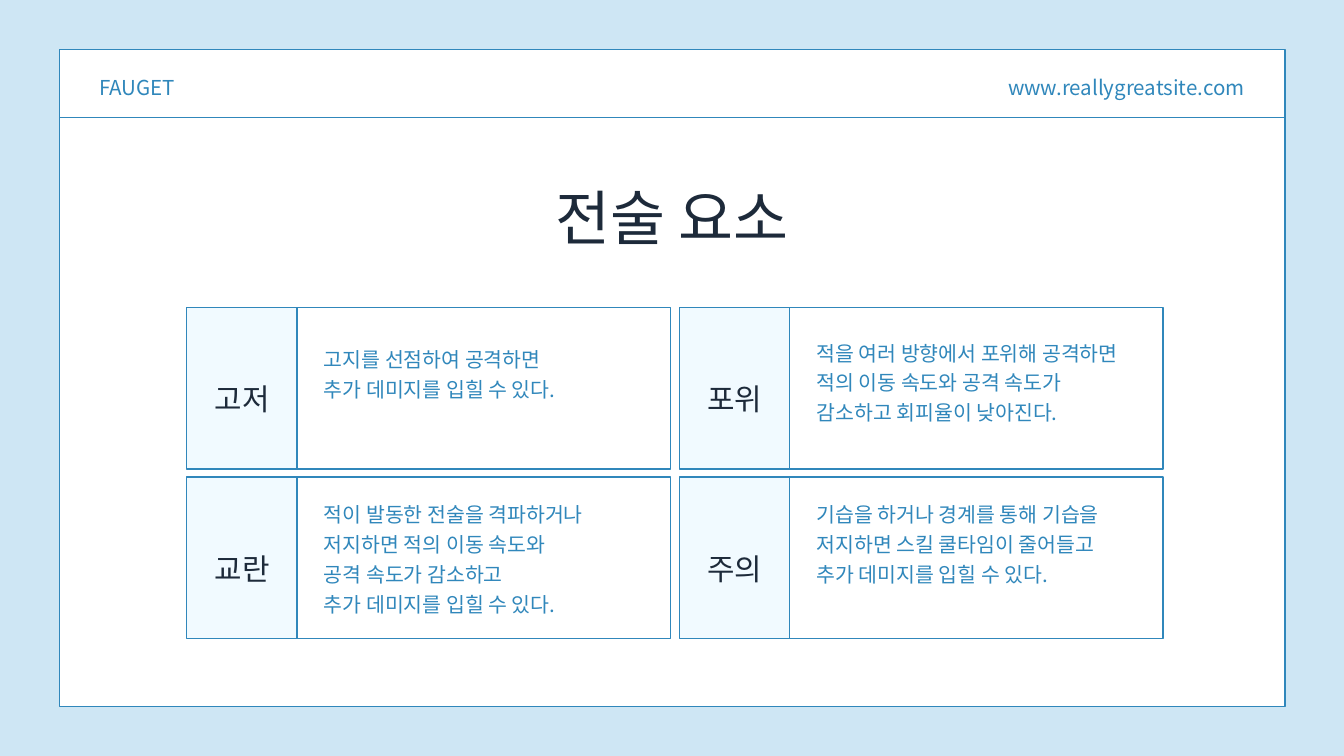
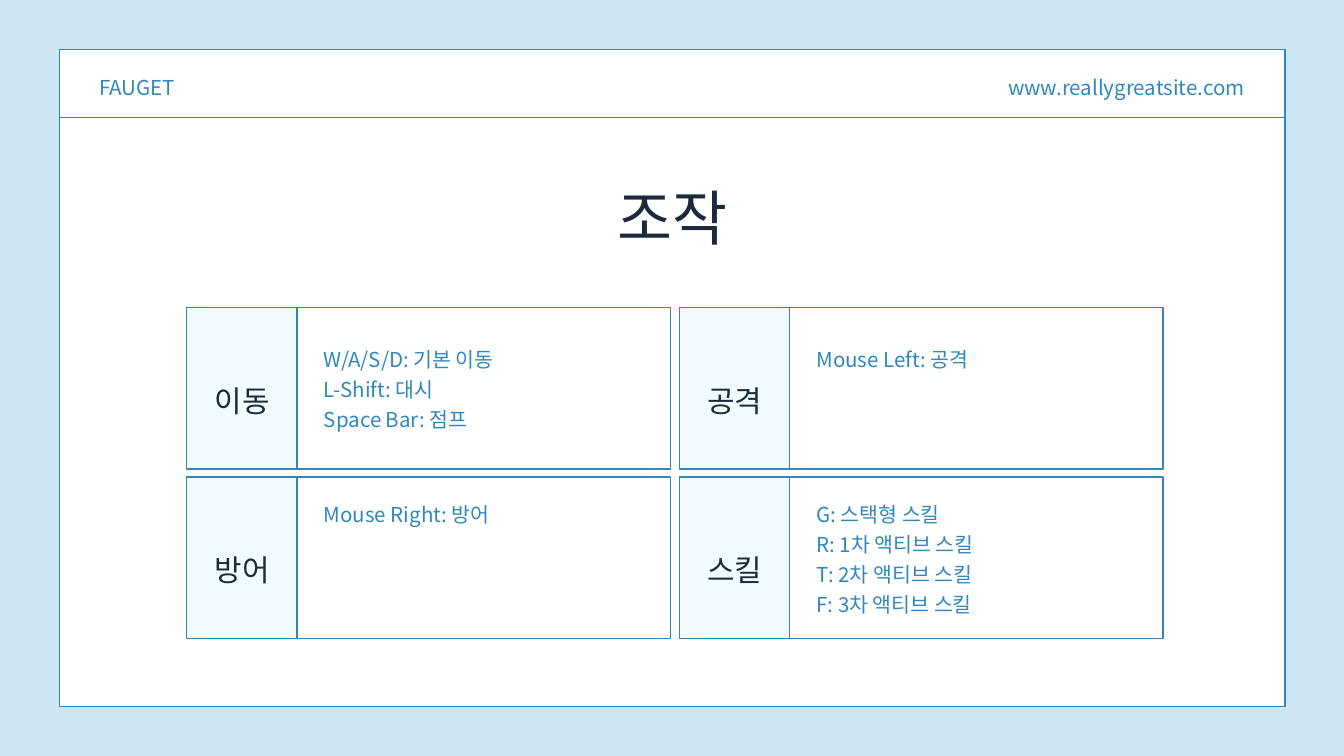
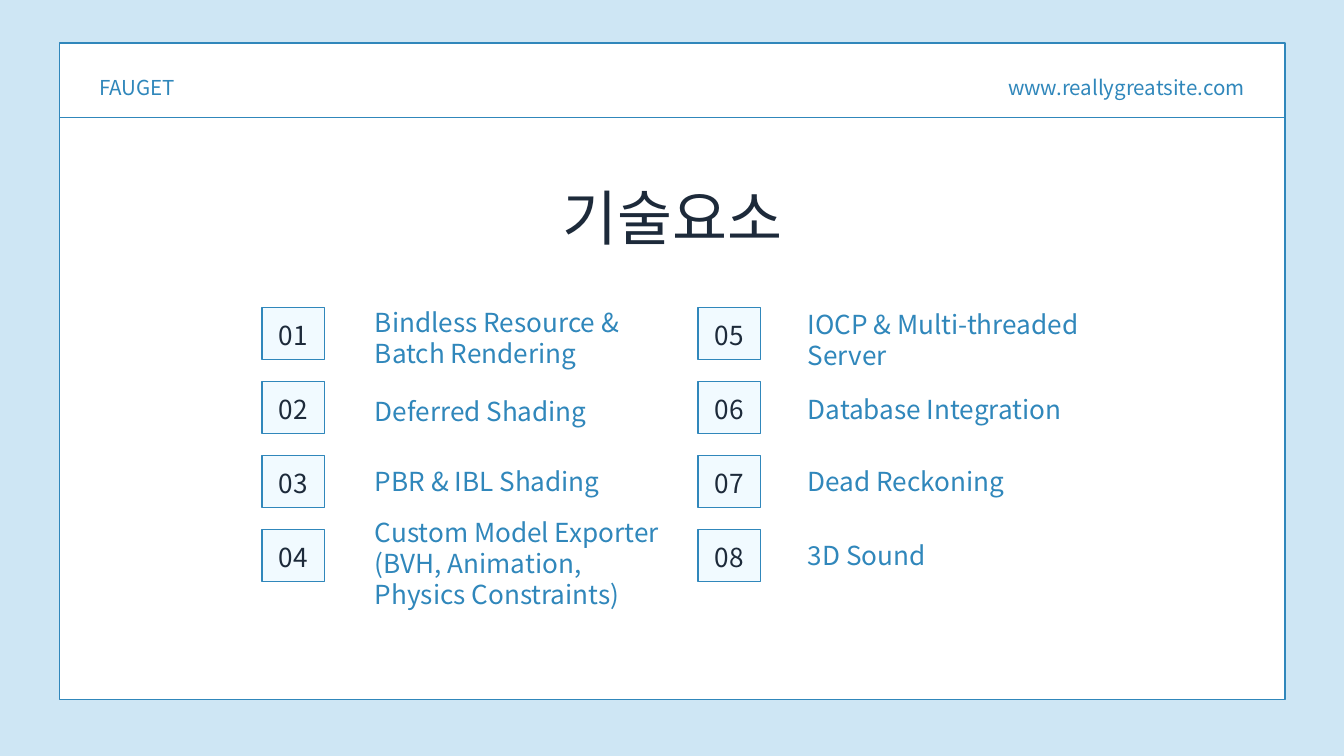
import pptx
import pptx.dml.color
import pptx.enum.shapes
import pptx.enum.text
import pptx.oxml
import pptx.oxml.ns
import pptx.util
from pptx.util import Inches

FONT = "Noto Sans CJK KR"
SKY, BLUE, PALE, WHITE, NAVY = "CEE6F4", "3087BB", "F1FAFF", "FFFFFF", "1D2A3A"
LEFT = pptx.enum.text.PP_ALIGN.LEFT
CENTER = pptx.enum.text.PP_ALIGN.CENTER
RIGHT = pptx.enum.text.PP_ALIGN.RIGHT
JUSTIFY = pptx.enum.text.PP_ALIGN.JUSTIFY

CARD_COLUMNS, CARD_ROWS = (2.78, 10.11), (4.58, 7.1)
CARD_HEIGHT = 2.4
TOPIC_TOP, TOPIC_PITCH = 4.58, 1.1

# Each card: label, top of the description, lines it fills, paragraphs
TACTICS = [
    ("고저", 5.09, 2, ["고지를 선점하여 공격하면\n추가 데미지를 입힐 수 있다."]),
    ("포위", 4.99, 3, ["적을 여러 방향에서 포위해 공격하면\n"
                     "적의 이동 속도와 공격 속도가 감소하고 회피율이 낮아진다."]),
    ("교란", 7.4, 4, ["적이 발동한 전술을 격파하거나 저지하면 적의 이동 속도와\n"
                    "공격 속도가 감소하고\n추가 데미지를 입힐 수 있다."]),
    ("주의", 7.4, 3, ["기습을 하거나 경계를 통해 기습을\n"
                    "저지하면 스킬 쿨타임이 줄어들고 추가 데미지를 입힐 수 있다."]),
]
CONTROLS = [
    ("이동", 5.09, 3, ["W/A/S/D: 기본 이동", "L-Shift: 대시", "Space Bar: 점프"]),
    ("공격", 5.09, 1, ["Mouse Left: 공격"]),
    ("방어", 7.4, 1, ["Mouse Right: 방어"]),
    ("스킬", 7.4, 4, ["G: 스택형 스킬", "R: 1차 액티브 스킬",
                    "T: 2차 액티브 스킬", "F: 3차 액티브 스킬"]),
]

# Each column: left of the number boxes, left of the names, (name, top, lines)
TOPIC_COLUMNS = [
    (3.9, 5.58, [
        ("Bindless Resource & Batch Rendering", 4.56, 2),
        ("Deferred Shading", 5.89, 1),
        ("PBR & IBL Shading", 6.92, 1),
        ("Custom Model Exporter\n(BVH, Animation, Physics Constraints)", 7.68, 3),
    ]),
    (10.39, 12.02, [
        ("IOCP & Multi-threaded Server", 4.59, 2),
        ("Database Integration", 5.86, 1),
        ("Dead Reckoning", 6.93, 1),
        ("3D Sound", 8.03, 1),
    ]),
]


def rgb(value):
    return pptx.dml.color.RGBColor.from_string(value)


def add_panel(slide, left, top, width, height, fill):
    panel = slide.shapes.add_shape(
        pptx.enum.shapes.MSO_SHAPE.RECTANGLE,
        Inches(left), Inches(top), Inches(width), Inches(height))
    panel.shadow.inherit = False
    panel.fill.solid()
    panel.fill.fore_color.rgb = rgb(fill)
    panel.line.color.rgb = rgb(BLUE)
    panel.line.width = pptx.util.Pt(1.5)


def add_rule(slide, left, right, top):
    rule = slide.shapes.add_connector(
        pptx.enum.shapes.MSO_CONNECTOR.STRAIGHT,
        Inches(left), Inches(top), Inches(right), Inches(top))
    rule.line.color.rgb = rgb(BLUE)
    rule.line.width = pptx.util.Pt(1.5)
    pptx.oxml.ns.qn("a:effectLst")
    rule._element.spPr.append(pptx.oxml.parse_xml(
        f"<a:effectLst {pptx.oxml.ns.nsdecls('a')}/>"))


def add_text(slide, left, top, width, height, paragraphs, size, spacing,
             color=BLUE, align=LEFT):
    """Place paragraphs with exact line spacing; a newline breaks the line."""
    box = slide.shapes.add_textbox(
        Inches(left), Inches(top), Inches(width), Inches(height))
    frame = box.text_frame
    frame.word_wrap = True
    frame.auto_size = pptx.enum.text.MSO_AUTO_SIZE.SHAPE_TO_FIT_TEXT
    frame.margin_left = frame.margin_right = 0
    frame.margin_top = frame.margin_bottom = 0
    for index, text in enumerate(paragraphs):
        paragraph = frame.add_paragraph() if index else frame.paragraphs[0]
        paragraph.text = text.replace("\n", "\v")
        paragraph.alignment = align
        paragraph.line_spacing = pptx.util.Pt(spacing)
        font = paragraph.font
        font.name = FONT
        font.size = pptx.util.Pt(size)
        font.color.rgb = rgb(color)
        properties = paragraph._p.pPr.find(pptx.oxml.ns.qn("a:defRPr"))
        properties.append(pptx.oxml.parse_xml(
            f'<a:ea {pptx.oxml.ns.nsdecls("a")} typeface="{FONT}"/>'))


def add_page(deck, title, frame_top=0.74):
    """Add a slide with the framed page, header and title."""
    slide = deck.slides.add_slide(deck.slide_layouts[6])
    slide.background.fill.solid()
    slide.background.fill.fore_color.rgb = rgb(SKY)
    add_panel(slide, 0.89, frame_top, 18.23, 9.77, WHITE)
    add_rule(slide, 0.89, 19.11, 1.75)
    add_text(slide, 14.41, 1.06, 4.11, 0.42, ["www.reallygreatsite.com"],
             22, 30.8, align=RIGHT)
    add_text(slide, 1.48, 1.06, 3.22, 0.42, ["FAUGET"], 22, 30.8)
    add_text(slide, 6.94, 2.51, 6.13, 1.26, [title], 64, 89.6, NAVY, CENTER)
    return slide


def add_cards(slide, cards, label_offset, align):
    """Lay out four labelled cards, two to a row."""
    places = [(left, top) for top in CARD_ROWS for left in CARD_COLUMNS]
    for (left, top), (label, text_top, lines, paragraphs) in zip(places, cards):
        add_panel(slide, left, top, 1.67, CARD_HEIGHT, PALE)
        add_panel(slide, left + 1.64, top, 5.56, CARD_HEIGHT, WHITE)
        add_text(slide, left + 0.35, top + label_offset, 0.95, 1.08, [label],
                 32, 89.6, NAVY, CENTER)
        add_text(slide, left + 2.04, text_top, 4.75, 0.45 * lines - 0.03,
                 paragraphs, 22, 31.9, align=align)


def add_topics(slide):
    """Lay out the numbered topics, counting down each column."""
    number = 0
    for box_left, name_left, topics in TOPIC_COLUMNS:
        for row, (name, name_top, lines) in enumerate(topics):
            number += 1
            top = TOPIC_TOP + row * TOPIC_PITCH
            add_panel(slide, box_left, top, 0.93, 0.77, PALE)
            add_text(slide, box_left - 0.18, top + 0.18, 1.29, 0.45,
                     [f"{number:02}"], 28, 33.6, NAVY, CENTER)
            add_text(slide, name_left, name_top, 4.25, 0.47 * lines, [name],
                     28, 33.6)


def main():
    deck = pptx.Presentation()
    deck.slide_width = Inches(20)
    deck.slide_height = Inches(11.25)
    add_cards(add_page(deck, "전술 요소"), TACTICS, 0.38, LEFT)
    add_cards(add_page(deck, "조작"), CONTROLS, 0.4, JUSTIFY)
    add_topics(add_page(deck, "기술요소", frame_top=0.64))
    deck.save("out.pptx")


if __name__ == "__main__":
    main()
